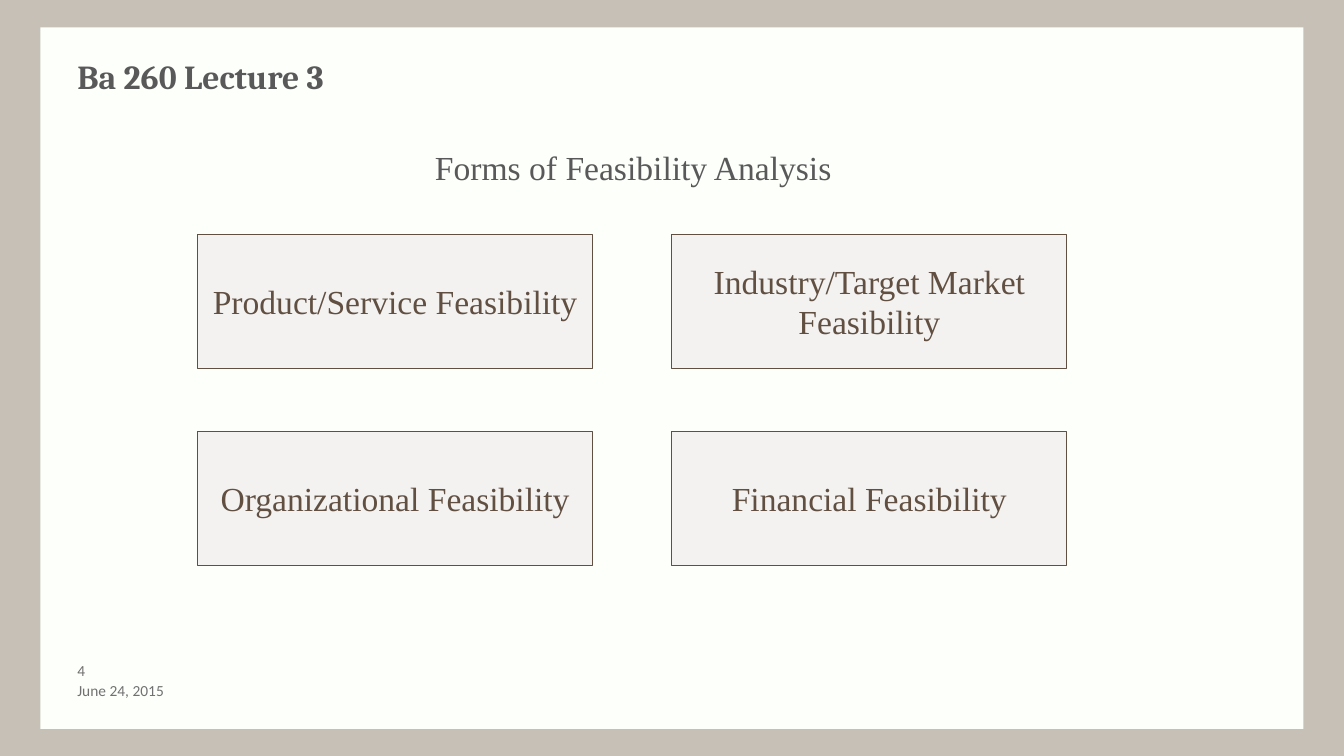
from pptx import Presentation
from pptx.dml.color import RGBColor
from pptx.enum.shapes import MSO_SHAPE
from pptx.enum.text import MSO_ANCHOR, PP_ALIGN
from pptx.util import Cm, Pt

RECTANGLE = MSO_SHAPE.RECTANGLE
TOP, MIDDLE = MSO_ANCHOR.TOP, MSO_ANCHOR.MIDDLE
LEFT, CENTER = PP_ALIGN.LEFT, PP_ALIGN.CENTER
SERIF = "Times New Roman"
BROWN = "615042"


def paint(color_format, color):
    color_format.rgb = RGBColor.from_string(color)


def write(box, text, font, size, color, align=LEFT, anchor=TOP, inset=0.13, wrap=True):
    frame = box.text_frame
    frame.word_wrap = wrap
    frame.vertical_anchor = anchor
    frame.margin_left = frame.margin_right = Cm(0.25)
    frame.margin_top = frame.margin_bottom = Cm(inset)
    frame.text = text
    for para in frame.paragraphs:
        para.alignment = align
        para.font.name = font
        para.font.size = Pt(size)
        paint(para.font.color, color)
    return frame.paragraphs[0]


deck = Presentation()
deck.slide_width, deck.slide_height = Cm(33.87), Cm(19.05)
page = deck.slides.add_slide(deck.slide_layouts[6])
page.background.fill.solid()
paint(page.background.fill.fore_color, "C6C0B7")

panel = page.shapes.add_shape(RECTANGLE, Cm(1.02), Cm(0.69), Cm(31.83), Cm(17.68))
panel.shadow.inherit = False
panel.fill.solid()
paint(panel.fill.fore_color, "FDFFFB")
panel.line.fill.background()

title = page.shapes.add_textbox(Cm(1.7), Cm(1.27), Cm(30.48), Cm(1.9))
write(title, "Ba 260 Lecture 3", "Cambria", 24, "595959").font.bold = True

heading = page.shapes.add_textbox(Cm(1.7), Cm(3.81), Cm(28.52), Cm(1.96))
para = write(heading, "Forms of Feasibility Analysis", SERIF, 24, "595959", CENTER)
para.line_spacing = 0.75

for text, top, width in [("4", 16.64, 1.35), ("June 24, 2015", 17.15, 6.78)]:
    footer = page.shapes.add_textbox(Cm(1.7), Cm(top), Cm(width), Cm(0.51))
    write(footer, text, "Calibri", 11, "717171", anchor=MIDDLE, inset=0)

forms = [
    "Product/Service Feasibility",
    "Industry/Target Market\nFeasibility",
    "Organizational Feasibility",
    "Financial Feasibility",
]
for index, form in enumerate(forms):
    row, column = divmod(index, 2)
    box = page.shapes.add_shape(
        RECTANGLE, Cm(4.98 + 11.95 * column), Cm(5.9 + 4.97 * row), Cm(9.96), Cm(3.38)
    )
    box.shadow.inherit = False
    box.fill.solid()
    paint(box.fill.fore_color, "F4F2F1")
    paint(box.line.color, BROWN)
    box.line.width = Pt(0.75)
    write(box, form, SERIF, 24, BROWN, CENTER, MIDDLE, wrap=False)

deck.save("out.pptx")
